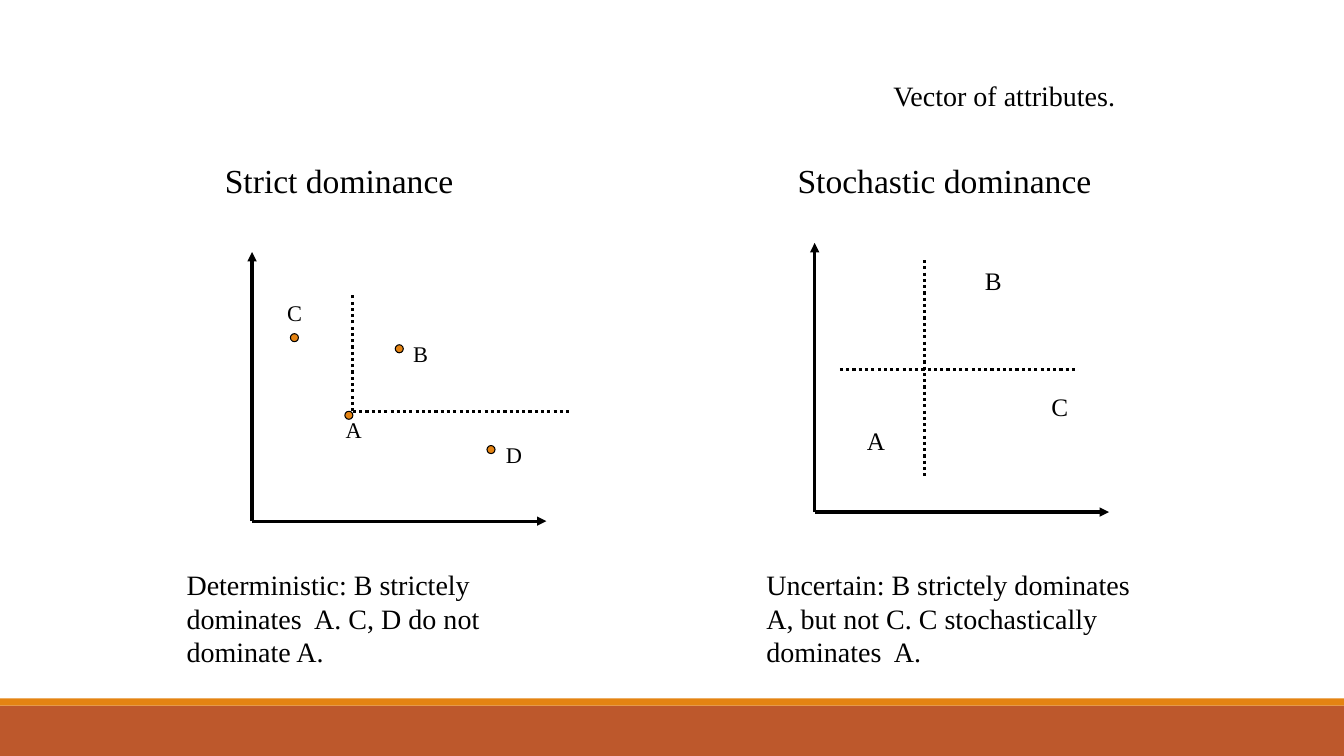
from lxml.etree import SubElement
from pptx import Presentation
from pptx.dml.color import RGBColor
from pptx.enum.dml import MSO_LINE
from pptx.enum.shapes import MSO_CONNECTOR, MSO_SHAPE
from pptx.enum.text import MSO_ANCHOR, MSO_AUTO_SIZE, PP_ALIGN
from pptx.oxml.ns import qn
from pptx.util import Inches, Pt

BLACK = RGBColor(0x00, 0x00, 0x00)
ORANGE = RGBColor(0xE4, 0x83, 0x12)
RUST = RGBColor(0xBD, 0x58, 0x2C)
FONT = "Times New Roman"
DOT_SIZE = 0.08
AXIS_WIDTH, AXIS_HEIGHT = 2.92, 2.67

BANDS = [(7, 0.5, RUST), (6.93, 0.07, ORANGE)]
PLACEHOLDER_TEXTS = {
    0: ("Vector of attributes.", 20, (8.76, 0.73, 3.17, 0.43)),
    1: ("Strict dominance", 24, (2.13, 1.54, 3.5, 0.5)),
    2: ("Deterministic: B strictely dominates  A. C, D do not dominate A.",
        20, (1.75, 5.58, 3.83, 1.1)),
    3: ("Stochastic dominance", 24, (7.81, 1.54, 3.8, 0.5)),
    4: ("Uncertain: B strictely dominates A, but not C. C stochastically  dominates  A.",
        20, (7.5, 5.58, 3.83, 1.1)),
}
GRAPHS = [
    {
        "origin": (2.5, 5.17),
        "guides": [((3.5, 4.08), (3.5, 2.92)), ((3.5, 4.08), (5.67, 4.08))],
        "dots": [(3.42, 4.08), (2.88, 3.31), (3.92, 3.42), (4.83, 4.42)],
        "label_size": 16,
        "labels": [("A", 3.33, 4.08), ("C", 2.75, 2.92), ("B", 4, 3.33), ("D", 4.92, 4.33)],
    },
    {
        "origin": (8.08, 5.08),
        "guides": [((9.17, 2.58), (9.17, 4.75)), ((8.33, 3.67), (10.67, 3.67))],
        "dots": [],
        "label_size": 18,
        "labels": [("A", 8.5, 4.17), ("B", 9.67, 2.58), ("C", 10.33, 3.83)],
    },
]


def write_text(box, text, size):
    frame = box.text_frame
    frame.word_wrap = True
    frame.auto_size = MSO_AUTO_SIZE.NONE
    frame.vertical_anchor = MSO_ANCHOR.TOP
    frame.text = text
    para = frame.paragraphs[0]
    para.alignment = PP_ALIGN.LEFT
    para.space_before = Pt(0)
    para.line_spacing = 1.0
    properties = para._p.get_or_add_pPr()
    properties.set("marL", "0")
    properties.set("indent", "0")
    SubElement(properties, qn("a:buNone"))
    para.font.name = FONT
    para.font.size = Pt(size)
    para.font.bold = False
    para.font.color.rgb = BLACK


def add_filled_shape(page, kind, place, color):
    shape = page.shapes.add_shape(kind, *map(Inches, place))
    shape.shadow.inherit = False
    shape.fill.solid()
    shape.fill.fore_color.rgb = color
    shape.line.fill.background()
    return shape


def add_line(page, start, end, dotted=False):
    connector = page.shapes.add_connector(
        MSO_CONNECTOR.STRAIGHT, *map(Inches, (*start, *end)))
    connector.line.color.rgb = BLACK
    connector.line.width = Pt(2.25)
    if dotted:
        connector.line.dash_style = MSO_LINE.ROUND_DOT
    else:
        SubElement(connector.line._get_or_add_ln(), qn("a:tailEnd"), type="triangle")
    SubElement(connector._element.spPr, qn("a:effectLst"))


def add_graph(page, graph):
    x, y = graph["origin"]
    add_line(page, (x, y), (x, y - AXIS_HEIGHT))
    add_line(page, (x, y), (x + AXIS_WIDTH, y))
    for left, top in graph["dots"]:
        dot = add_filled_shape(page, MSO_SHAPE.OVAL, (left, top, DOT_SIZE, DOT_SIZE), ORANGE)
        dot.line.color.rgb = BLACK
        dot.line.width = Pt(0.75)
    for text, left, top in graph["labels"]:
        label = page.shapes.add_textbox(*map(Inches, (left, top, 0.42, 0.4)))
        write_text(label, text, graph["label_size"])
    for start, end in graph["guides"]:
        add_line(page, start, end, dotted=True)


def main():
    deck = Presentation()
    deck.slide_width = Inches(13.33)
    deck.slide_height = Inches(7.5)
    page = deck.slides.add_slide(deck.slide_layouts.get_by_name("Comparison"))
    for top, height, color in BANDS:
        add_filled_shape(page, MSO_SHAPE.RECTANGLE, (0, top, 13.33, height), color)
    for index, (text, size, place) in PLACEHOLDER_TEXTS.items():
        box = page.placeholders[index]
        box.left, box.top, box.width, box.height = map(Inches, place)
        write_text(box, text, size)
    for graph in GRAPHS:
        add_graph(page, graph)
    deck.save("out.pptx")


if __name__ == "__main__":
    main()
